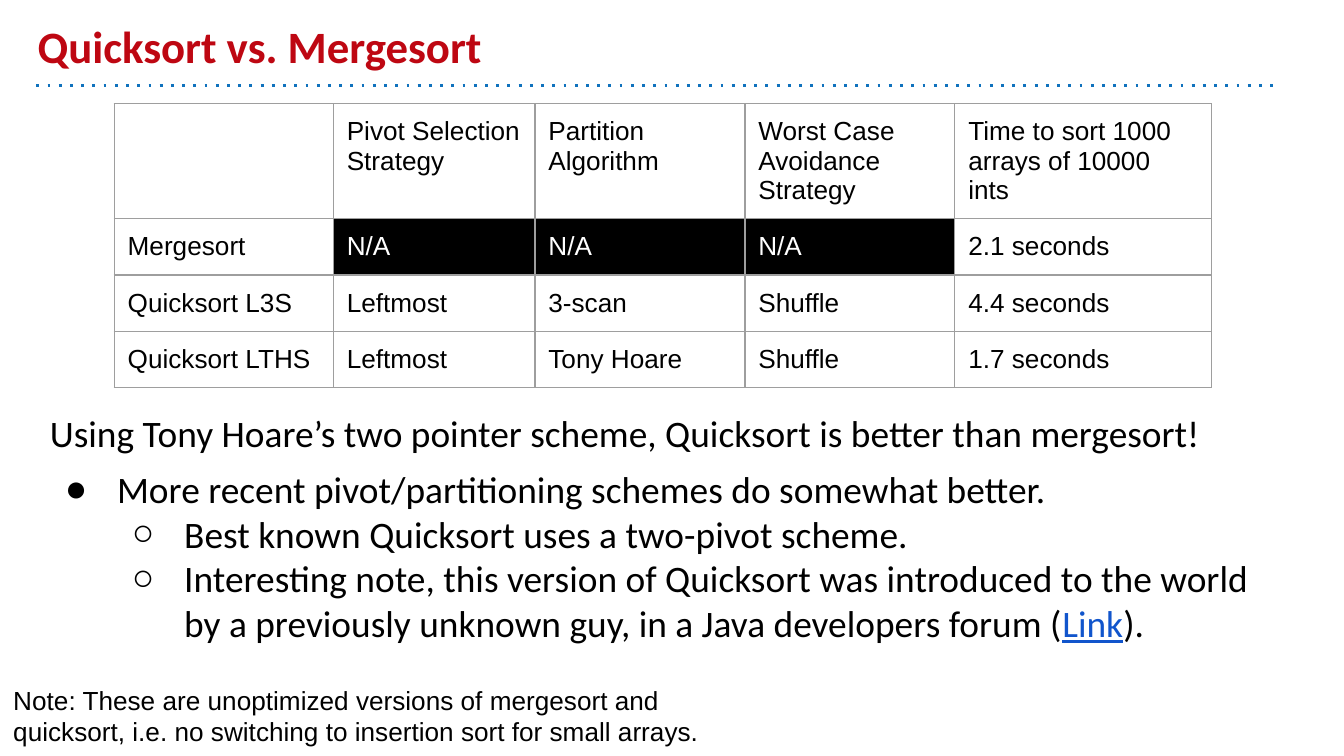
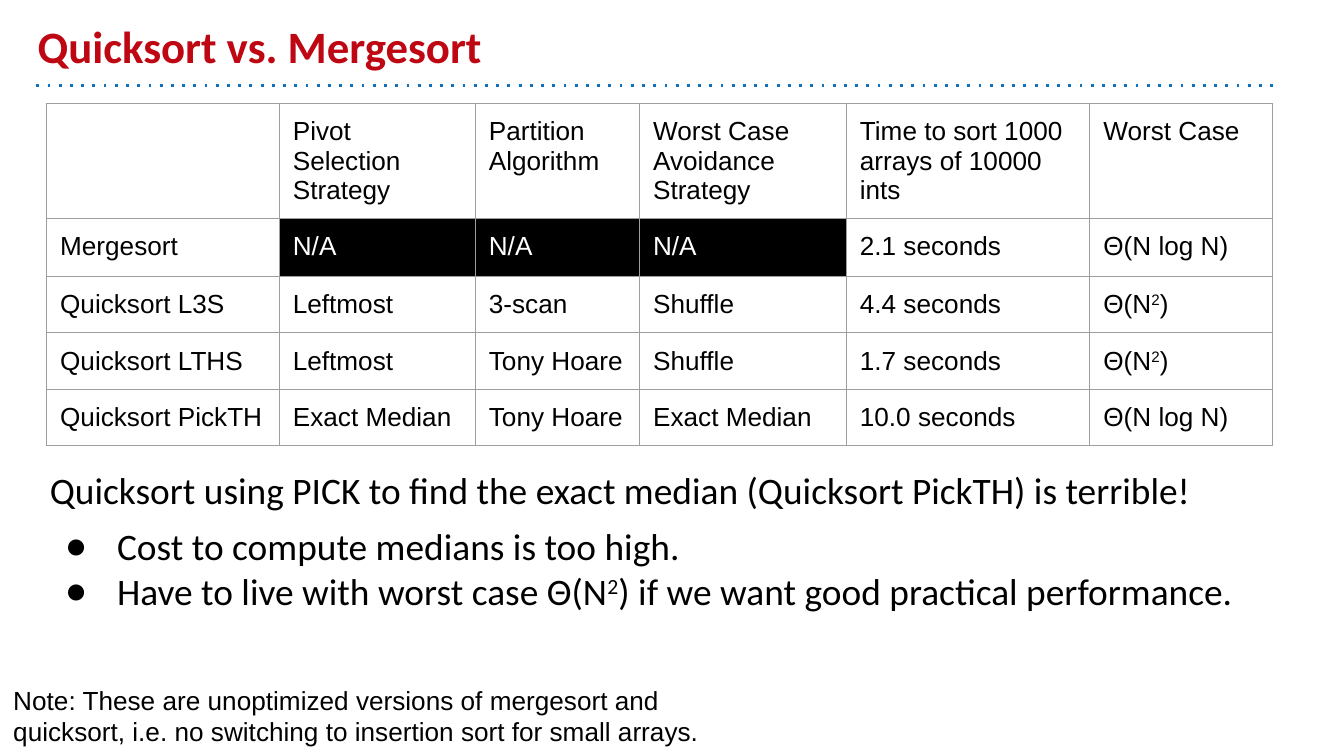
import dataclasses

import lxml.etree
import pptx
import pptx.dml.color
import pptx.enum.shapes
import pptx.enum.text
import pptx.oxml.ns
import pptx.util

Pt = pptx.util.Pt
qn = pptx.oxml.ns.qn


@dataclasses.dataclass(frozen=True)
class Theme:
    title: str = "BE0712"
    rule: str = "1072BD"
    text: str = "000000"
    inverse: str = "FFFFFF"
    link: str = "1155CC"
    border: str = "9E9E9E"
    heading_font: str = "Calibri"
    table_font: str = "Arial"
    title_size: int = 24
    body_size: int = 20
    small_size: int = 14
    inset: float = 7.2


THEME = Theme()
TITLE = dict(name=THEME.heading_font, size=Pt(THEME.title_size), bold=True, color=THEME.title)
BODY = dict(name=THEME.heading_font, size=Pt(THEME.body_size), color=THEME.text)
SMALL = dict(name=THEME.table_font, size=Pt(THEME.small_size), color=THEME.text)
INVERSE = {**SMALL, "color": THEME.inverse}
LINK = dict(color=THEME.link, underline=True)
SQUARED = ("2", dict(baseline=30000))

HEADING = "Quicksort vs. Mergesort"
NOTE = ("Note: These are unoptimized versions of mergesort and quicksort, "
        "i.e. no switching to insertion sort for small arrays.")
NOT_APPLICABLE = "N/A"
TIMINGS = [
    ["", "Pivot Selection Strategy", "Partition\nAlgorithm",
     "Worst Case Avoidance Strategy", "Time to sort 1000 arrays of 10000 ints"],
    ["Mergesort", NOT_APPLICABLE, NOT_APPLICABLE, NOT_APPLICABLE, "2.1 seconds"],
    ["Quicksort L3S", "Leftmost", "3-scan", "Shuffle", "4.4 seconds"],
    ["Quicksort LTHS", "Leftmost", "Tony Hoare", "Shuffle", "1.7 seconds"],
]
PICK_TIMING = ["Quicksort PickTH", "Exact Median", "Tony Hoare", "Exact Median", "10.0 seconds"]
N_LOG_N = "Θ(N log N)"
N_SQUARED = ["Θ(N", SQUARED, ")"]
WORST_CASES = ["Worst Case", N_LOG_N, N_SQUARED, N_SQUARED, N_LOG_N]


def add_xml(parent, tag, **attrs):
    return lxml.etree.SubElement(parent, qn(tag), attrs)


def set_attributes(target, values):
    for name, value in values.items():
        setattr(target, name, value)


def set_insets(target):
    set_attributes(target, {f"margin_{side}": Pt(THEME.inset)
                            for side in ("left", "top", "right", "bottom")})


def place(sp, left, top, width, height):
    set_attributes(sp, dict(left=Pt(left), top=Pt(top), width=Pt(width), height=Pt(height)))


def add_run(p, text, fmt):
    r = p.add_run()
    r.text = text
    fmt = dict(fmt)
    r.font.color.rgb = pptx.dml.color.RGBColor.from_string(fmt.pop("color"))
    baseline = fmt.pop("baseline", None)
    set_attributes(r.font, fmt)
    if baseline:
        r._r.get_or_add_rPr().set("baseline", str(baseline))


def add_runs(p, content, fmt):
    for piece in [content] if isinstance(content, str) else content:
        text, changes = (piece, {}) if isinstance(piece, str) else piece
        add_run(p, text, {**fmt, **changes})


def paragraphs(tf, count):
    return [tf.paragraphs[0]] + [tf.add_paragraph() for _ in range(count - 1)]


def set_bullet(p, char, indent):
    pPr = p._p.get_or_add_pPr()
    pPr.set("marL", str(Pt(indent)))
    pPr.set("indent", str(Pt(-28) if char else 0))
    if char:
        add_xml(add_xml(pPr, "a:buClr"), "a:srgbClr", val=THEME.text)
        add_xml(pPr, "a:buChar", char=char)
    else:
        add_xml(pPr, "a:buNone")


def add_title(s, text):
    sp = s.shapes.title
    place(sp, 13, 7.2, 648, 38.8)
    tf = sp.text_frame
    set_insets(tf)
    set_attributes(tf, dict(word_wrap=True, auto_size=pptx.enum.text.MSO_AUTO_SIZE.NONE,
                            vertical_anchor=pptx.enum.text.MSO_ANCHOR.BOTTOM))
    p = tf.paragraphs[0]
    p.alignment = pptx.enum.text.PP_ALIGN.LEFT
    add_runs(p, text, TITLE)


def add_title_rule(s):
    line = s.shapes.add_connector(pptx.enum.shapes.MSO_CONNECTOR.STRAIGHT,
                                  Pt(19.5), Pt(46), Pt(684), Pt(46))
    line.line.color.rgb = pptx.dml.color.RGBColor.from_string(THEME.rule)
    line.line.width = Pt(1.5)
    spPr = line.element.spPr
    add_xml(spPr.find(qn("a:ln")), "a:prstDash", val="dot")
    add_xml(spPr, "a:effectLst")


def add_body(s, top, height, items):
    sp = s.placeholders[1]
    place(sp, 19.5, top, 664.5, height)
    tf = sp.text_frame
    set_insets(tf)
    set_attributes(tf, dict(word_wrap=True, auto_size=pptx.enum.text.MSO_AUTO_SIZE.NONE,
                            vertical_anchor=pptx.enum.text.MSO_ANCHOR.TOP))
    for i, (p, (depth, content)) in enumerate(zip(paragraphs(tf, len(items)), items)):
        p.level = max(depth - 1, 0)
        p.space_before = Pt(6 if i < 2 else 0)
        set_bullet(p, ["", "●", "○"][depth], 36 * depth)
        add_runs(p, content, BODY)


def set_borders(cell):
    tcPr = cell._tc.get_or_add_tcPr()
    for i, side in enumerate(("a:lnL", "a:lnR", "a:lnT", "a:lnB")):
        ln = lxml.etree.Element(qn(side), w=str(Pt(0.75)))
        add_xml(add_xml(ln, "a:solidFill"), "a:srgbClr", val=THEME.border)
        tcPr.insert(i, ln)


def fill_cell(cell, content):
    blocked = content == NOT_APPLICABLE
    set_insets(cell)
    cell.vertical_anchor = pptx.enum.text.MSO_ANCHOR.TOP
    if blocked:
        cell.fill.solid()
        cell.fill.fore_color.rgb = pptx.dml.color.RGBColor.from_string(THEME.text)
    else:
        cell.fill.background()
    set_borders(cell)
    lines = content.split("\n") if isinstance(content, str) else [content]
    for p, line in zip(paragraphs(cell.text_frame, len(lines)), lines):
        if line:
            add_runs(p, line, INVERSE if blocked else SMALL)


def add_timing_table(s, left, height, widths, row_heights, rows):
    top = 55.5
    frame = s.shapes.add_table(len(rows), len(widths), Pt(left), Pt(top),
                               Pt(sum(widths)), Pt(height))
    table = frame.table
    set_attributes(table, dict(first_row=False, horz_banding=False))
    for column, width in zip(table.columns, widths):
        column.width = Pt(width)
    for row, row_height, contents in zip(table.rows, row_heights, rows):
        row.height = Pt(row_height)
        for cell, content in zip(row.cells, contents):
            fill_cell(cell, content)
    place(frame, left, top, sum(widths), height)


def add_note(s):
    tf = s.shapes.add_textbox(0, Pt(359.3), Pt(392.4), Pt(46)).text_frame
    set_insets(tf)
    tf.word_wrap = True
    add_runs(tf.paragraphs[0], NOTE, SMALL)


def add_comparison_slide(prs, table, body):
    s = prs.slides.add_slide(prs.slide_layouts[1])
    add_title_rule(s)
    add_title(s, HEADING)
    add_timing_table(s, **table)
    add_body(s, **body)
    add_note(s)


def main():
    prs = pptx.Presentation()
    set_attributes(prs, dict(slide_width=Pt(720), slide_height=Pt(405)))
    add_comparison_slide(
        prs,
        dict(left=61.2, height=158.4, widths=[117.4, 108, 112.5, 112.5, 137.6],
             row_heights=[30.2] * 4, rows=TIMINGS),
        dict(top=212.4, height=159, items=[
            (0, "Using Tony Hoare’s two pointer scheme, Quicksort is better than mergesort!"),
            (1, "More recent pivot/partitioning schemes do somewhat better."),
            (2, "Best known Quicksort uses a two-pivot scheme."),
            (2, ["Interesting note, this version of Quicksort was introduced to the world "
                 "by a previously unknown guy, in a Java developers forum (",
                 ("Link", LINK), ")."]),
        ]))
    add_comparison_slide(
        prs,
        dict(left=25, height=189.4, widths=[124.7, 105, 88, 110.8, 130.4, 97.8],
             row_heights=[30.2, 31, 30.2, 30.2, 30.2],
             rows=[row + [worst] for row, worst in zip(TIMINGS + [PICK_TIMING], WORST_CASES)]),
        dict(top=243, height=128, items=[
            (0, "Quicksort using PICK to find the exact median (Quicksort PickTH) is terrible!"),
            (1, "Cost to compute medians is too high."),
            (1, ["Have to live with worst case Θ(N", SQUARED,
                 ") if we want good practical performance."]),
        ]))
    prs.save("out.pptx")


if __name__ == "__main__":
    main()
